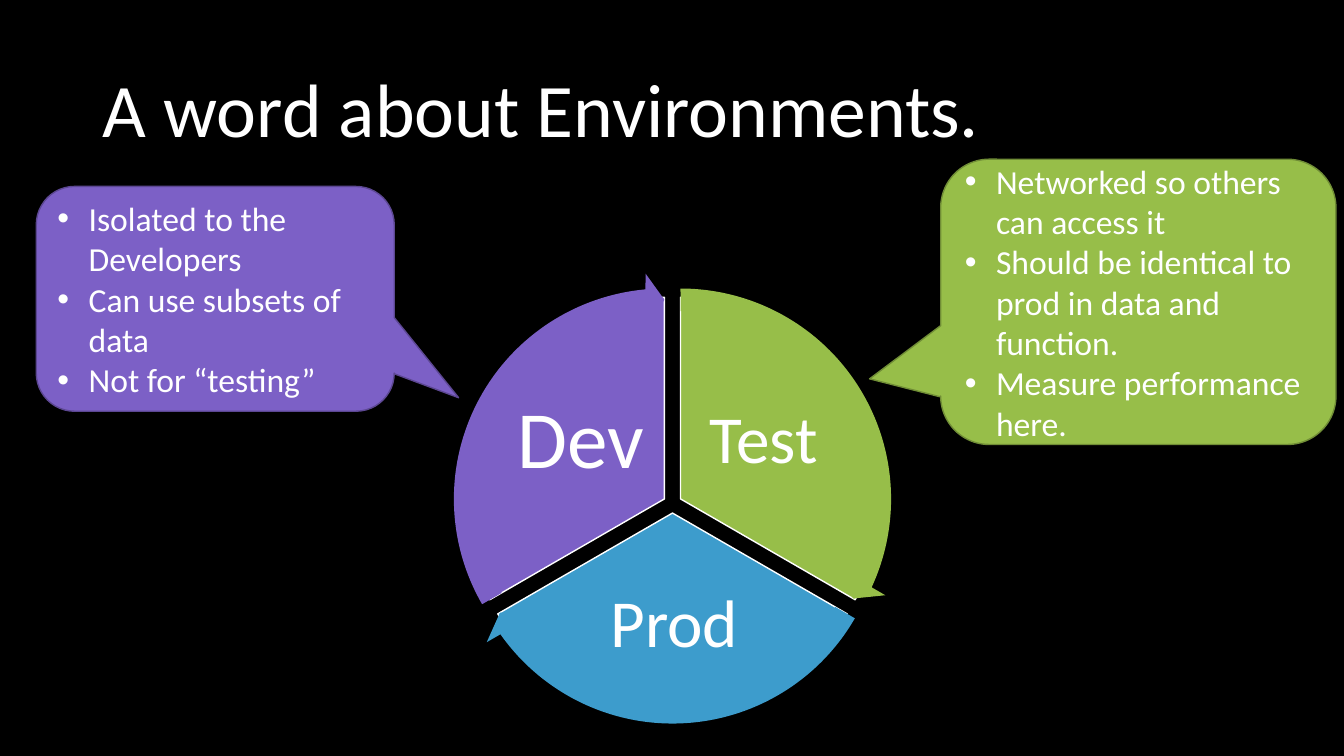
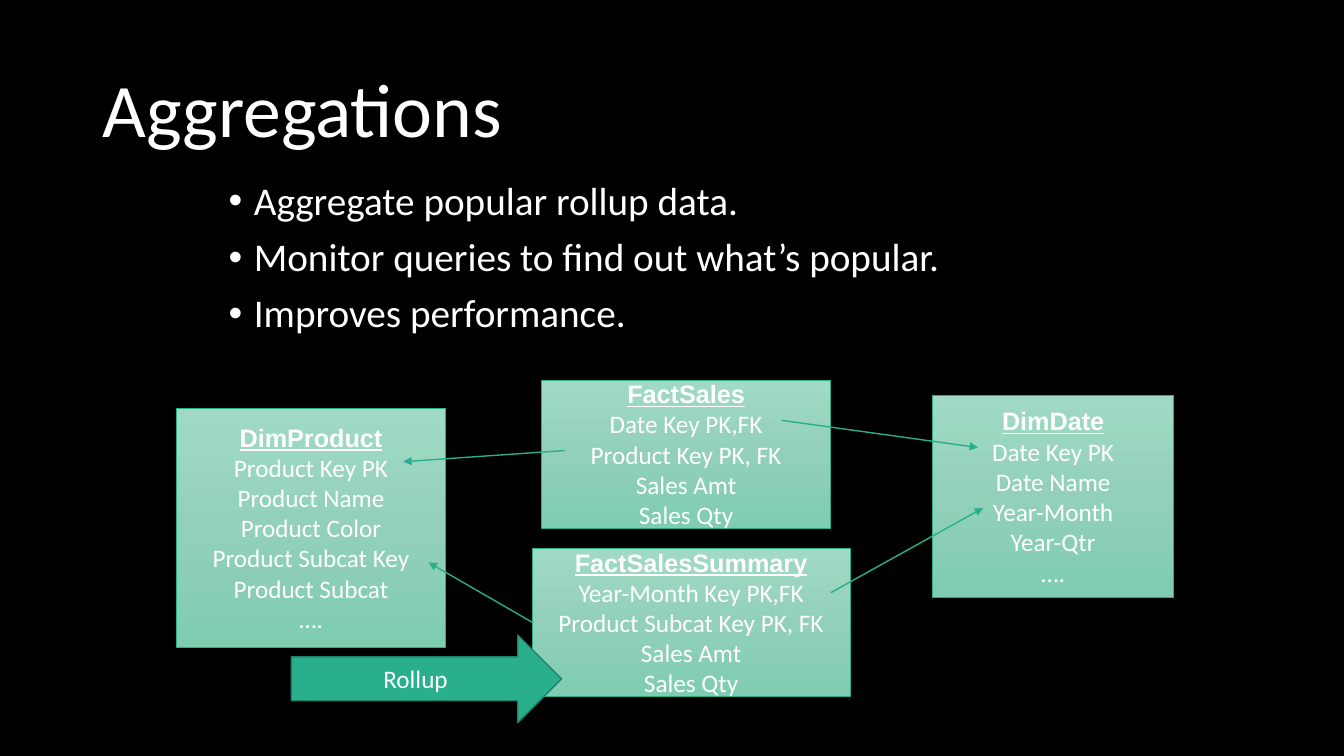
from copy import deepcopy

from lxml.etree import SubElement
from pptx import Presentation
from pptx.dml.color import RGBColor
from pptx.enum.shapes import MSO_CONNECTOR, MSO_SHAPE
from pptx.enum.text import MSO_ANCHOR, PP_ALIGN
from pptx.oxml.ns import qn
from pptx.util import Inches, Pt

BLACK = RGBColor(0x00, 0x00, 0x00)
WHITE = RGBColor(0xFF, 0xFF, 0xFF)
GREEN = RGBColor(0x97, 0xBE, 0x49)
DARK_GREEN = RGBColor(0x70, 0x8D, 0x36)
BLUE = RGBColor(0x3D, 0x9C, 0xCC)
PURPLE = RGBColor(0x7C, 0x60, 0xC6)
DARK_PURPLE = RGBColor(0x5C, 0x47, 0x92)
TEAL = RGBColor(0x29, 0xAF, 0x8C)
DARK_TEAL = RGBColor(0x1E, 0x81, 0x68)
ENTITY_GRADIENT = [
    (0, RGBColor(0xA0, 0xDA, 0xC4)),
    (0.5, RGBColor(0x93, 0xD0, 0xB9)),
    (1, RGBColor(0x7E, 0xCD, 0xB1)),
]
BODY_FONT, HEADING_FONT = "Calibri", "Arial"
TITLE_BOX = (0.92, 0.4, 11.5, 1.45)

PIE_SIZE, CYCLE_ARROW_SIZE = 4, 4.49
ENVIRONMENTS = [
    {"name": "Test", "color": GREEN, "at": (4.75, 2.95), "angles": (162, 18),
     "arrow": (14.72, 161.99), "label": (6.86, 3.79, 1.43, 1.19), "size": 48, "inset": 0.07},
    {"name": "Prod", "color": BLUE, "at": (4.67, 3.09), "angles": (18, 90),
     "arrow": (86.72, 18), "label": (5.62, 5.68, 2.14, 1.05), "size": 48, "inset": 0.07},
    {"name": "Dev", "color": PURPLE, "at": (4.59, 2.95), "angles": (90, 162),
     "arrow": (158.73, 90), "label": (5.05, 3.79, 1.43, 1.19), "size": 58, "inset": 0.08},
]
CALLOUTS = [
    ((0.36, 1.85, 3.55, 2.23), (0.68, 0.44, 0.17), PURPLE, DARK_PURPLE,
     ["Isolated to the Developers", "Can use subsets of data", "Not for “testing”"]),
    ((9.33, 1.58, 3.92, 2.83), (-0.68, 0.27, 0.17), GREEN, DARK_GREEN,
     ["Networked so others can access it",
      "Should be identical to prod in data and function.",
      "Measure performance here."]),
]

AGGREGATION_POINTS = [
    "Aggregate popular rollup data.",
    "Monitor queries to find out what’s popular.",
    "Improves performance.",
]
ENTITIES = [
    ((5.37, 3.77, 2.87, 1.47),
     ["FactSales", "Date Key PK,FK", "Product Key PK, FK", "Sales Amt", "Sales Qty"]),
    ((9.25, 3.92, 2.39, 2.01),
     ["DimDate", "Date Key PK", "Date Name", "Year-Month", "Year-Qtr", "…."]),
    ((5.28, 5.44, 3.15, 1.47),
     ["FactSalesSummary", "Year-Month Key PK,FK", "Product Subcat Key PK, FK",
      "Sales Amt", "Sales Qty"]),
    ((1.75, 4.05, 2.67, 2.37),
     ["DimProduct", "Product Key PK", "Product Name", "Product Color",
      "Product Subcat Key", "Product Subcat", "…."]),
]
KEY_LINKS = [
    ((5.6, 4.47), (4, 4.58)),
    ((5.29, 6.18), (4.25, 5.58)),
    ((8.24, 5.88), (9.75, 5.04)),
    ((7.75, 4.17), (9.7, 4.44)),
]


def inches(values):
    return [Inches(value) for value in values]


def write(shape, lines, size, align=PP_ALIGN.LEFT, anchor=MSO_ANCHOR.MIDDLE,
          spacing=None, before=None, bullet_indent=None, wrap=True):
    frame = shape.text_frame
    frame.text = "\n".join(lines)
    frame.word_wrap = wrap
    frame.vertical_anchor = anchor
    for paragraph in frame.paragraphs:
        paragraph.alignment = align
        if spacing:
            paragraph.line_spacing = spacing
        if before:
            paragraph.space_before = Pt(before)
        if bullet_indent:
            properties = paragraph._p.get_or_add_pPr()
            properties.set("marL", str(Inches(bullet_indent)))
            properties.set("indent", str(-Inches(bullet_indent)))
            SubElement(properties, qn("a:buFont"), typeface=HEADING_FONT)
            SubElement(properties, qn("a:buChar"), char="•")
        for run in paragraph.runs:
            run.font.size = Pt(size)
            run.font.name = BODY_FONT
            run.font.color.rgb = WHITE
    return frame


def add_text(slide, box, lines, size, **style):
    return write(slide.shapes.add_textbox(*inches(box)), lines, size, **style)


def add_panel(slide, preset, box, fill=None, outline=None, weight=1, adjustments=()):
    panel = slide.shapes.add_shape(preset, *inches(box))
    panel.shadow.inherit = False
    for index, value in enumerate(adjustments):
        panel.adjustments[index] = value
    if fill is not None:
        panel.fill.solid()
        panel.fill.fore_color.rgb = fill
    if outline is None:
        panel.line.fill.background()
    else:
        panel.line.color.rgb = outline
        panel.line.width = Pt(weight)
    return panel


def add_titled_slide(deck, title):
    slide = deck.slides.add_slide(deck.slide_layouts[6])
    add_text(slide, TITLE_BOX, [title], 54, spacing=0.9)
    return slide


def add_entity(slide, box, lines):
    entity = add_panel(slide, MSO_SHAPE.RECTANGLE, box, outline=TEAL, weight=0.5)
    entity.fill.gradient()
    entity.fill.gradient_angle = 270
    stops = entity.element.spPr.find(qn("a:gradFill")).find(qn("a:gsLst"))
    stops.append(deepcopy(stops[0]))
    for stop, (position, color) in zip(entity.fill.gradient_stops, ENTITY_GRADIENT):
        stop.position = position
        stop.color.rgb = color
    frame = write(entity, lines, 18, align=PP_ALIGN.CENTER, wrap=False)
    heading = frame.paragraphs[0].runs[0].font
    heading.name = HEADING_FONT
    heading.bold = heading.underline = True


def add_key_link(slide, start, end):
    link = slide.shapes.add_connector(MSO_CONNECTOR.STRAIGHT, *inches(start + end))
    link.line.color.rgb = TEAL
    link.line.width = Pt(1)
    properties = link.element.spPr
    SubElement(properties.find(qn("a:ln")), qn("a:tailEnd"), type="triangle")
    SubElement(properties, qn("a:effectLst"))


def build_environments(deck):
    slide = add_titled_slide(deck, "A word about Environments.")
    for env in ENVIRONMENTS:
        add_panel(slide, MSO_SHAPE.PIE, env["at"] + (PIE_SIZE, PIE_SIZE),
                  env["color"], WHITE, adjustments=env["angles"])
        label = add_text(slide, env["label"], [env["name"]], env["size"],
                         align=PP_ALIGN.CENTER, spacing=0.9)
        label.margin_left = label.margin_right = Inches(env["inset"])
        label.margin_top = label.margin_bottom = Inches(env["inset"])
    overhang = (CYCLE_ARROW_SIZE - PIE_SIZE) / 2
    for env in ENVIRONMENTS:
        left, top = (edge - overhang for edge in env["at"])
        add_panel(slide, MSO_SHAPE.CIRCULAR_ARROW,
                  (left, top, CYCLE_ARROW_SIZE, CYCLE_ARROW_SIZE), env["color"],
                  adjustments=(0.05, 3.28, *env["arrow"], 0.06))
    for box, pointer, fill, outline, points in CALLOUTS:
        callout = add_panel(slide, MSO_SHAPE.ROUNDED_RECTANGULAR_CALLOUT, box,
                            fill, outline, adjustments=pointer)
        write(callout, points, 24, bullet_indent=0.31)


def build_aggregations(deck):
    slide = add_titled_slide(deck, "Aggregations")
    add_text(slide, (2.17, 1.75, 9, 1.83), AGGREGATION_POINTS, 28,
             anchor=MSO_ANCHOR.TOP, spacing=0.9, before=10, bullet_indent=0.25)
    for box, lines in ENTITIES:
        add_entity(slide, box, lines)
    for start, end in KEY_LINKS:
        add_key_link(slide, start, end)
    rollup = add_panel(slide, MSO_SHAPE.RIGHT_ARROW, (2.89, 6.3, 2.68, 0.87), TEAL, DARK_TEAL)
    write(rollup, ["Rollup"], 18, align=PP_ALIGN.CENTER)


def main():
    deck = Presentation()
    deck.slide_width, deck.slide_height = Inches(13.33), Inches(7.5)
    backdrop = deck.slide_master.background.fill
    backdrop.solid()
    backdrop.fore_color.rgb = BLACK
    build_environments(deck)
    build_aggregations(deck)
    deck.save("out.pptx")


if __name__ == "__main__":
    main()
